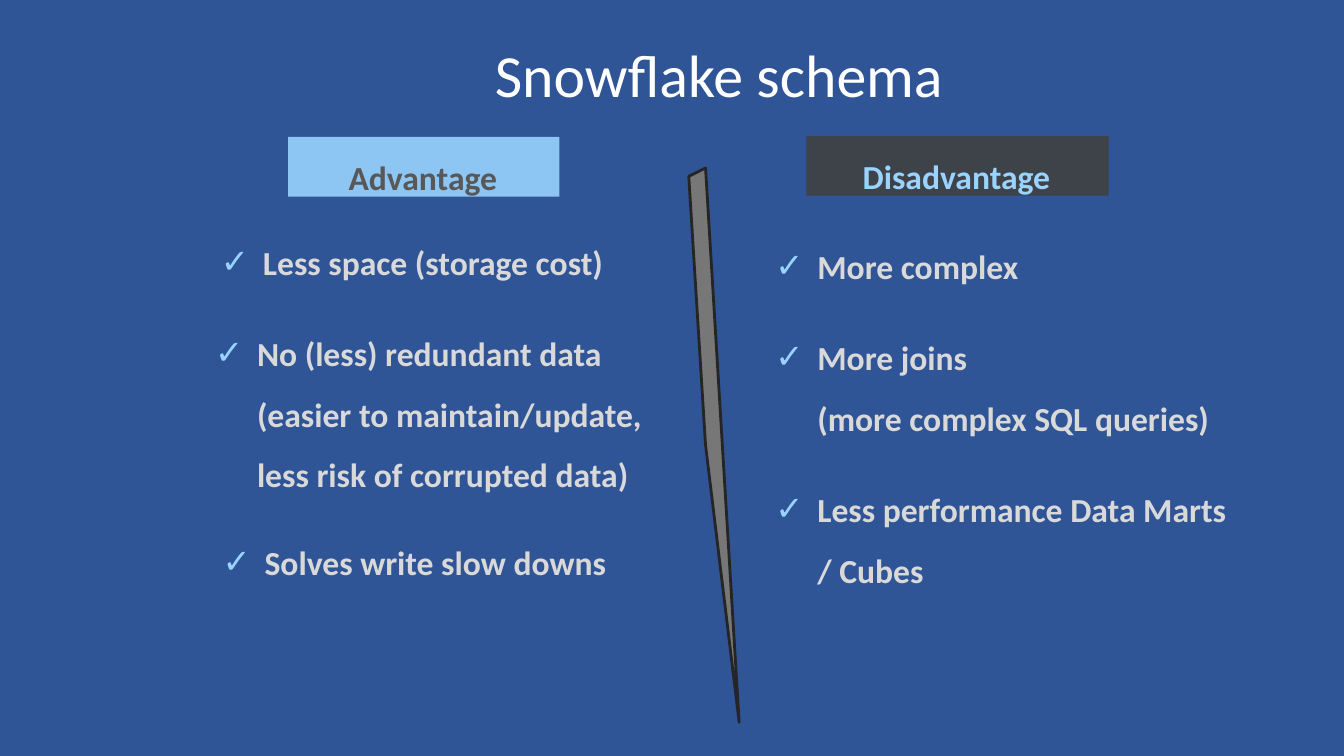
from lxml import etree
from pptx import Presentation
from pptx.dml.color import RGBColor
from pptx.enum.shapes import MSO_SHAPE
from pptx.enum.text import MSO_ANCHOR, MSO_AUTO_SIZE, PP_ALIGN
from pptx.oxml.ns import qn
from pptx.util import Inches, Pt

RECT = MSO_SHAPE.RECTANGLE
TOP, MIDDLE = MSO_ANCHOR.TOP, MSO_ANCHOR.MIDDLE
FIXED = MSO_AUTO_SIZE.NONE
LEFT = PP_ALIGN.LEFT

BLUE = RGBColor(0x2F, 0x55, 0x97)
SKY = RGBColor(0x99, 0xD3, 0xFF)
WHITE = RGBColor(0xFF, 0xFF, 0xFF)
PALE = RGBColor(0xD9, 0xD9, 0xD9)
GRAY = RGBColor(0x77, 0x77, 0x77)
SLATE = RGBColor(0x58, 0x58, 0x58)
DARK = RGBColor(0x40, 0x40, 0x40)
INK = RGBColor(0x25, 0x25, 0x25)

WIDE, HIGH = Inches(13.33), Inches(7.5)
COL, ROW = WIDE / 160, HIGH / 90
HANG = 5
FONT = "Calibri"


def text(para, words, size=24, color=PALE, bold=True, indent=0, before=0,
         lines=1.0, mark=None):
    """Fill a paragraph with words and format it."""
    para.text = words
    para.alignment = LEFT
    para.space_before = Pt(before)
    para.line_spacing = lines
    props = para._p.get_or_add_pPr()
    props.set("marL", str(round(indent * COL)))
    props.set("indent", str(round(-HANG * COL) if mark else 0))
    if mark:
        tint = etree.SubElement(props, qn("a:buClr"))
        etree.SubElement(tint, qn("a:srgbClr")).set("val", str(SKY))
        etree.SubElement(props, qn("a:buChar")).set("char", mark)
    else:
        etree.SubElement(props, qn("a:buNone"))
    for run in para.runs:
        run.font.name = FONT
        run.font.size = Pt(size)
        run.font.bold = bold
        run.font.color.rgb = color


class Deck:
    """Hold the style and the current slide."""

    def __init__(self):
        self.file = Presentation()
        self.file.slide_width, self.file.slide_height = WIDE, HIGH
        self.slide = self.file.slides.add_slide(self.file.slide_layouts[3])
        ground = self.slide.background.fill
        ground.solid()
        ground.fore_color.rgb = BLUE

    def frame(self, shape, anchor=TOP, inset=0.24):
        """Set up the text frame of a shape."""
        frame = shape.text_frame
        frame.word_wrap = True
        frame.auto_size = FIXED
        frame.vertical_anchor = anchor
        frame.margin_left = frame.margin_right = frame.margin_bottom = 0
        frame.margin_top = round(inset * ROW)
        return frame

    def place(self, shape, left, top, width, height):
        """Move a shape to a spot on the grid."""
        shape.left, shape.width = round(left * COL), round(width * COL)
        shape.top, shape.height = round(top * ROW), round(height * ROW)

    def title(self, words, spot, indent):
        """Write the slide title."""
        shape = self.slide.shapes.title
        self.place(shape, *spot)
        frame = self.frame(shape, MIDDLE)
        text(frame.paragraphs[0], words, size=42.7, color=WHITE, bold=False,
             indent=indent)

    def list(self, index, spot, items):
        """Write a list into a body placeholder."""
        shape = self.slide.placeholders[index]
        self.place(shape, *spot)
        frame = self.frame(shape)
        for count, (words, style) in enumerate(items):
            para = frame.add_paragraph() if count else frame.paragraphs[0]
            text(para, words, **style)

    def label(self, words, spot, fill, color, indent):
        """Draw a see-through heading box."""
        shape = self.slide.shapes.add_shape(RECT, 0, 0, 0, 0)
        self.place(shape, *spot)
        shape.shadow.inherit = False
        shape.fill.solid()
        shape.fill.fore_color.rgb = fill
        tint = shape._element.spPr.find(".//" + qn("a:srgbClr"))
        etree.SubElement(tint, qn("a:alpha")).set("val", "89000")
        shape.line.fill.background()
        frame = self.frame(shape, inset=2.4)
        text(frame.paragraphs[0], words, color=color, indent=indent)

    def blade(self, points):
        """Draw the outlined divider."""
        start, *rest = points
        form = self.slide.shapes.build_freeform(*start, scale=(COL, ROW))
        form.add_line_segments(rest)
        shape = form.convert_to_shape()
        shape.shadow.inherit = False
        shape.fill.solid()
        shape.fill.fore_color.rgb = GRAY
        shape.line.color.rgb = INK
        shape.line.width = Pt(2)


def main():
    """Build the slide."""
    deck = Deck()
    deck.title("Snowflake schema", (37.1, 4.2, 88, 8.9), 21.8)
    point = {"indent": 5.3, "mark": "✓"}
    more = {"indent": 5.3, "before": 14.4}
    deck.list(2, (92, 29, 54.3, 41.3), [
        ("More complex", point),
        ("More joins", point | {"before": 36.6}),
        ("(more complex SQL queries)", more),
        ("Less performance Data Marts", point | {"before": 36.6}),
        ("/ Cubes", more),
    ])
    deck.list(1, (25.4, 28.5, 51.4, 41.2), [
        ("Less space (storage cost)", point | {"indent": 5.9}),
        ("No (less) redundant data\v(easier to maintain/update,\v"
         "less risk of corrupted data)",
         point | {"indent": 5.2, "before": 22.2, "lines": 1.5}),
        ("Solves write slow downs", point | {"indent": 6.1, "before": 34.2}),
    ])
    deck.blade([(84.1, 20.4), (82.1, 20.6), (84, 53.4), (88.1, 85.8)])
    deck.label("Disadvantage", (96, 16.2, 36, 7.1), DARK, SKY, 6.7)
    deck.label("Advantage", (34.3, 16.3, 32.3, 7.1), SKY, SLATE, 7.2)
    deck.file.save("out.pptx")


if __name__ == "__main__":
    main()
